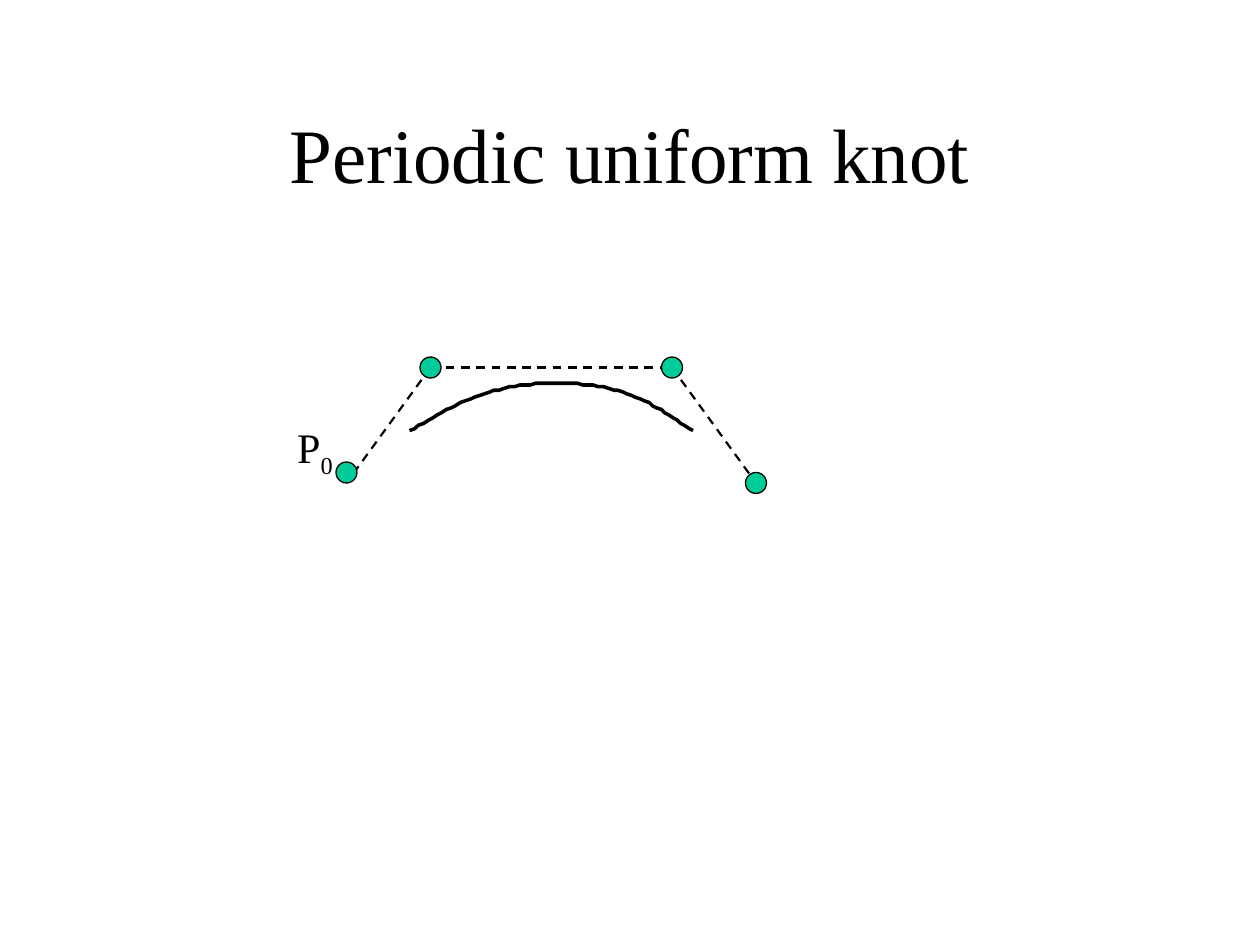
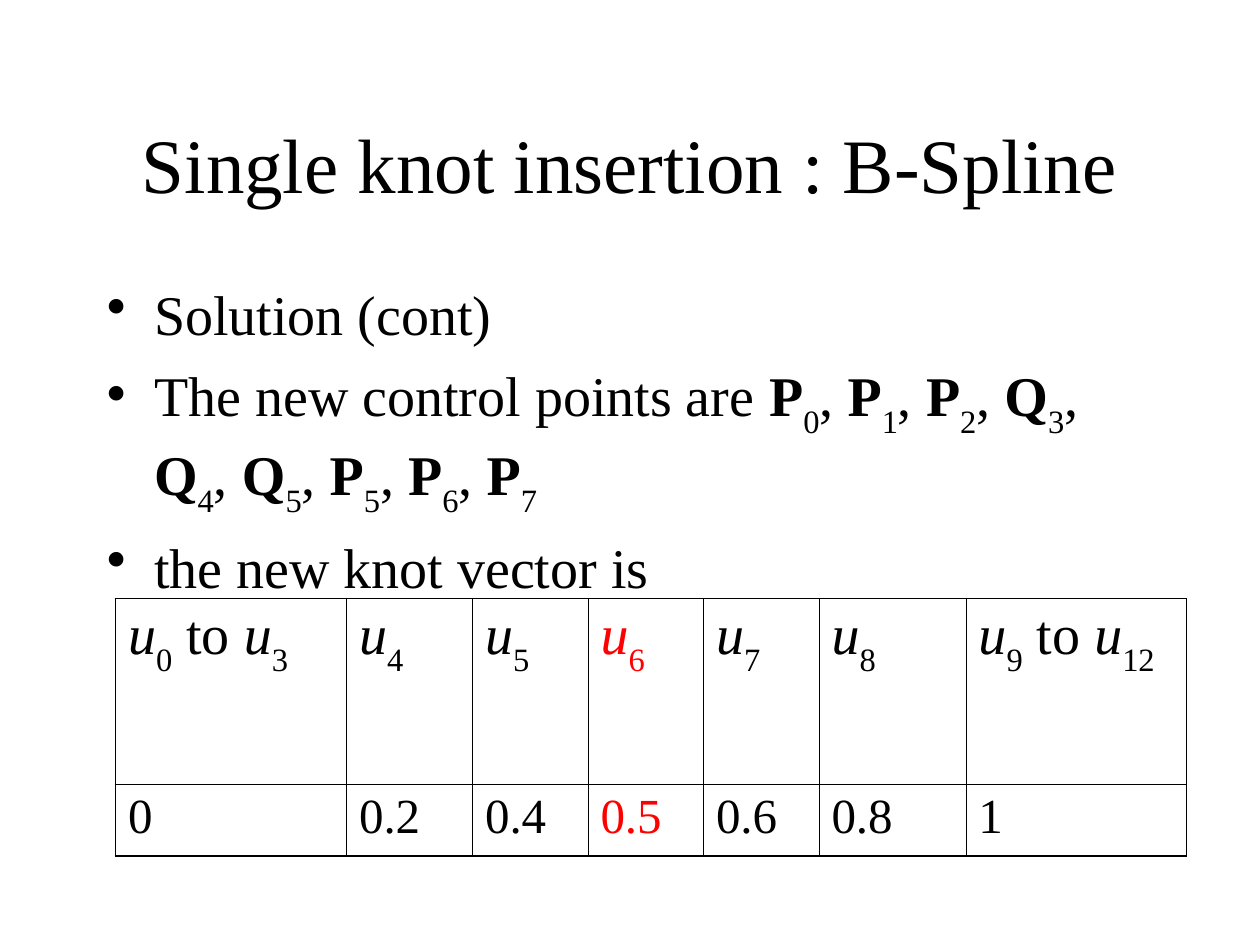
from dataclasses import dataclass
from pptx import Presentation
from pptx.dml.color import RGBColor
from pptx.enum import dml, shapes, text
from pptx.oxml import ns, xmlchemy
from pptx.util import Pt
from lxml import etree


@dataclass(frozen=True)
class Theme:
    font: str = "Times New Roman"
    ink: str = "000000"
    mark: str = "FF0000"
    dot: str = "00CC99"
    head: int = 44
    body: int = 32
    cell: int = 28
    label: int = 24
    thin: float = 0.45
    thick: float = 1.08


theme = Theme()


def color(code):
    return RGBColor.from_string(code)


def node(parent, tag, **attrs):
    return etree.SubElement(parent, ns.qn(tag), attrs)


def add_runs(para, runs, size, ink=theme.ink, drop=-30):
    for words, style in runs:
        run = para.add_run()
        run.text = words
        font = run.font
        font.name, font.size = theme.font, Pt(size)
        font.color.rgb = color(ink)
        font.bold, font.italic = style == "bold", style == "italic"
        if style == "sub":
            run._r.get_or_add_rPr().set("baseline", str(drop * 1000))


def index(name, style):
    return [(name[0], style), (name[1:], "sub")]


def join(names, style, gap):
    runs = []
    for name in names:
        runs += ([(gap, "")] if runs else []) + index(name, style)
    return runs


def text_box(slide, box, wrap=True):
    frame = slide.shapes.add_textbox(*map(Pt, box)).text_frame
    frame.word_wrap = wrap
    return frame


def title(slide, box, words):
    frame = text_box(slide, box)
    frame.vertical_anchor = text.MSO_ANCHOR.MIDDLE
    para = frame.paragraphs[0]
    para.alignment = text.PP_ALIGN.CENTER
    add_runs(para, [(words, "")], theme.head)


def bullets(slide, box, items):
    frame = text_box(slide, box)
    for i, runs in enumerate(items):
        para = frame.add_paragraph() if i else frame.paragraphs[0]
        para.space_before = Pt(8)
        props = para._p.get_or_add_pPr()
        props.set("marL", str(Pt(27)))
        props.set("indent", str(Pt(-27)))
        node(node(props, "a:buClr"), "a:srgbClr", val=theme.ink)
        node(props, "a:buChar", char="•")
        add_runs(para, runs, theme.body)


def bezier(start, one, two, end, steps=20):
    for i in range(1, steps + 1):
        t = i / steps
        s = 1 - t
        yield tuple(s**3 * a + 3 * s * s * t * b + 3 * s * t * t * c + t**3 * d
                    for a, b, c, d in zip(start, one, two, end))


def stroke(line, width):
    line.color.rgb = color(theme.ink)
    line.width = Pt(width)


def curve(slide, points):
    spots = []
    for i in range(0, len(points) - 1, 3):
        spots += bezier(*points[i:i + 4])
    pen = slide.shapes.build_freeform(*points[0], scale=Pt(1))
    pen.add_line_segments(spots, close=False)
    arc = pen.convert_to_shape()
    arc.shadow.inherit = False
    arc.fill.background()
    stroke(arc.line, 2)


def dash(slide, start, end):
    link = slide.shapes.add_connector(
        shapes.MSO_CONNECTOR.STRAIGHT, *map(Pt, start + end))
    stroke(link.line, 1.25)
    link.line.dash_style = dml.MSO_LINE.DASH
    node(link._element.spPr, "a:effectLst")


def dot(slide, x, y, size=12):
    disc = slide.shapes.add_shape(
        shapes.MSO_SHAPE.OVAL, Pt(x - size / 2), Pt(y - size / 2), Pt(size), Pt(size))
    disc.shadow.inherit = False
    disc.fill.solid()
    disc.fill.fore_color.rgb = color(theme.dot)
    stroke(disc.line, 0.75)


def spline(slide, box):
    left, top, wide, high = box

    def at(x, y):
        return left + x, top + y

    first, second, third, last = at(0, 60), at(48, 0), at(wide - 48, 0), at(wide, high)
    curve(slide, [at(*p) for p in (
        (36, 36), (53.5, 26), (71, 16), (90, 12), (108.5, 8), (131.5, 8),
        (150, 12), (168, 16), (183, 26), (198, 36))])
    for start, end in ((second, third), (second, at(0, high)), (third, last)):
        dash(slide, start, end)
    for spot in (first, second, third, last):
        dot(slide, *spot)
    frame = text_box(slide, (*at(-35.3, 27.6), 34.6, 40.3), wrap=False)
    frame.auto_size = text.MSO_AUTO_SIZE.SHAPE_TO_FIT_TEXT
    add_runs(frame.paragraphs[0], index("P0", "bold")[:0] + [("P", ""), ("0", "sub")],
             theme.label, drop=-25)


def border(cell, edges):
    props = cell._tc.get_or_add_tcPr()
    for side, outer in zip("LRTB", edges):
        width = theme.thick if outer else theme.thin
        line = node(props, f"a:ln{side}", w=str(Pt(width)))
        node(node(line, "a:solidFill"), "a:srgbClr", val=theme.ink)


def knots(slide, box, cols, rows, heads, values, hot):
    grid = slide.shapes.add_table(2, len(cols), *map(Pt, box)).table
    grid.first_row = grid.horz_banding = False
    for col, wide in zip(grid.columns, cols):
        col.width = Pt(wide)
    for row, high in zip(grid.rows, rows):
        row.height = Pt(high)
    lines = ((heads, theme.body, 8), (values, theme.cell, 7))
    for r, (line, size, gap) in enumerate(lines):
        for c, runs in enumerate(line):
            cell = grid.cell(r, c)
            border(cell, (c == 0, c == len(cols) - 1, r == 0, r == 1))
            cell.fill.background()
            para = cell.text_frame.paragraphs[0]
            para.space_before = Pt(gap)
            add_runs(para, runs, size, theme.mark if c == hot else theme.ink)


def periodic(slide):
    title(slide, (54, 42, 612, 90), "Periodic uniform knot")
    spline(slide, (198, 210, 234, 66))


def single(slide):
    points = "P0 P1 P2 Q3 Q4 Q5 P5 P6 P7".split()
    bullets(slide, (54, 156, 612, 324), [
        [("Solution (cont)", "")],
        [("The new control points are ", "")] + join(points, "bold", ", "),
        [("the new knot vector is", "")]])
    title(slide, (54, 48, 612, 90), "Single knot insertion : B-Spline")
    names = ["u0 u3", "u4", "u5", "u6", "u7", "u8", "u9 u12"]
    knots(slide, (66, 342, 612, 147), (132, 72, 66, 66, 66, 84, 126), (106, 41),
          [join(name.split(), "italic", " to ") for name in names],
          [[(value, "")] for value in "0 0.2 0.4 0.5 0.6 0.8 1".split()],
          names.index("u6"))


def main():
    deck = Presentation()
    deck.slide_width, deck.slide_height = Pt(720), Pt(540)
    for build in (periodic, single):
        build(deck.slides.add_slide(deck.slide_layouts[6]))
    deck.save("out.pptx")


if __name__ == "__main__":
    main()
